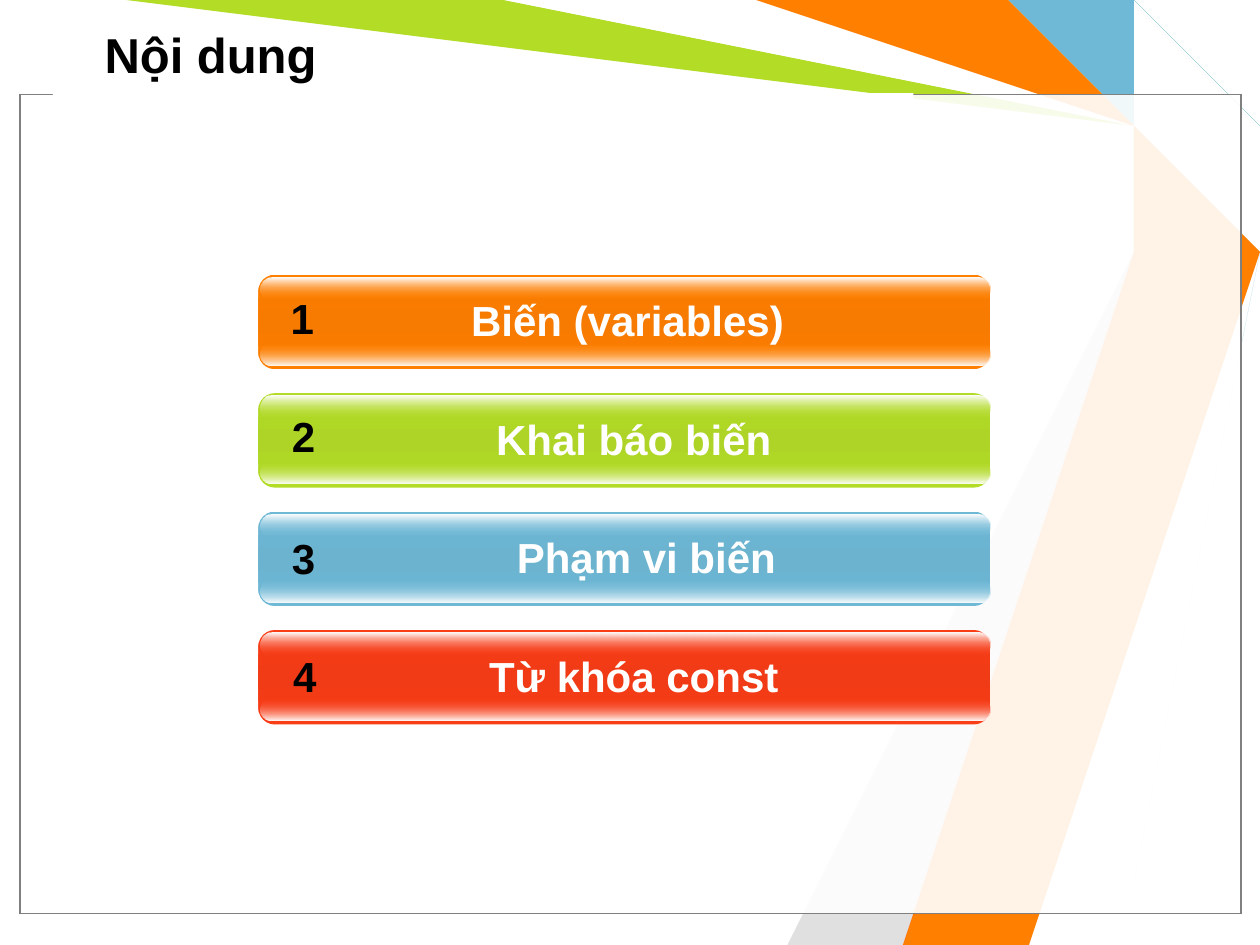
"""Build the contents slide: ribbons, a pale frame, a title and four bars."""
from lxml import etree
from pptx import Presentation
from pptx.dml.color import RGBColor
from pptx.enum import shapes as sh, text as tx
from pptx.oxml.ns import qn
from pptx.util import Inches, Pt

HUES = {
    "blue": "6FB9D7", "lime": "B3DC27", "gray": "E0E0E0", "white": "FFFFFF",
    "pale": "B4E3EE", "teal": "189180", "orange": "FF7F00", "red": "F93D17",
    "black": "000000", "edge": "808080", "dimblue": "6BB3CF",
    "dimlime": "ADD426", "dimorange": "F67B00", "dimred": "F03B16",
}
FONT = "Arial"
RECT = sh.MSO_SHAPE.RECTANGLE
ROUND = sh.MSO_SHAPE.ROUNDED_RECTANGLE

RIBBONS = [
    ("blue", [(8.92, 0), (9.29, 0.77), (9.58, 1.67), (9.11, 7.49),
              (8.56, 7.49), (9.5, 1.67), (9.17, 0.75), (8.38, 0)]),
    ("lime", [(1.17, 0), (3.83, 0), (9.14, 0.78), (9.42, 1.69),
              (7.42, 7.5), (6.92, 7.5), (9.35, 1.73), (9.01, 0.91)]),
    ("gray", [(6.67, 7.5), (9.27, 1.81), (6, 7.5)]),
    ("white", [(3.75, 0), (9.1, 0.82), (9.32, 1.62), (6.75, 7.5), (7, 7.5),
               (9.41, 1.58), (9.17, 0.75), (6, 0)]),
    ("pale", [(9.25, 0), (9.17, 0.17), (9.78, 1.2), (10, 1.25), (10, 1),
              (9.25, 0.17), (9.32, 0)]),
    ("teal", [(10, 0.83), (9.42, 0.25), (10, 0.67)]),
    ("orange", [(6.08, 0), (7.92, 0), (9.3, 0.7), (9.66, 1.69), (8.33, 7.5),
                (7.33, 7.5), (9.42, 1.58), (9.17, 0.75)]),
    ("red", [(7.32, 7.5), (9.32, 1.83), (7.49, 7.5)]),
]
ROWS = [
    ("1", "Biến (variables)", "orange", 2.52, 2.19, 0.09),
    ("2", "Khai báo biến", "lime", 2.57, 2.2, 0.09),
    ("3", "Phạm vi biến", "blue", 2.67, 2.2, 0.12),
    ("4", "Từ khóa const", "red", 2.57, 2.21, 0.11),
]


def rgb(hue):
    """Return the colour with the given name."""
    return RGBColor.from_string(HUES[hue])


def paint(shape, hue):
    """Give a shape a flat fill, with no line or shadow."""
    shape.shadow.inherit = False
    shape.fill.solid()
    shape.fill.fore_color.rgb = rgb(hue)
    shape.line.fill.background()


def add_block(slide, kind, box, hue):
    """Add a flat preset shape in a box."""
    shape = slide.shapes.add_shape(kind, *map(Inches, box))
    paint(shape, hue)
    return shape


def fade(shape, stops):
    """Fill a shape from top to bottom with (place, hue, alpha) stops."""
    flat = shape.element.spPr.find(qn("a:solidFill"))
    grad = etree.Element(qn("a:gradFill"), rotWithShape="1")
    row = etree.SubElement(grad, qn("a:gsLst"))
    for place, hue, alpha in stops:
        stop = etree.SubElement(row, qn("a:gs"), pos=str(place * 1000))
        tint = etree.SubElement(stop, qn("a:srgbClr"), val=HUES[hue])
        if alpha < 100:
            etree.SubElement(tint, qn("a:alpha"), val=str(alpha * 1000))
    etree.SubElement(grad, qn("a:lin"), ang="5400000", scaled="1")
    flat.getparent().replace(flat, grad)


def add_run(para, words, size, hue):
    """Add one bold run to a paragraph."""
    run = para.add_run()
    run.text = words
    font = run.font
    font.name, font.size, font.bold = FONT, Pt(size), True
    font.color.rgb = rgb(hue)


def add_label(slide, box, words, hue):
    """Add a line of centred text in a box."""
    frame = slide.shapes.add_textbox(*map(Inches, box)).text_frame
    frame.word_wrap = True
    para = frame.paragraphs[0]
    para.alignment = tx.PP_ALIGN.CENTER
    add_run(para, words, 24, hue)


def add_ribbons(slide):
    """Draw the coloured ribbons behind the frame."""
    for hue, points in RIBBONS:
        path = slide.shapes.build_freeform(*points[0], scale=Inches(1))
        path.add_line_segments(points[1:], close=True)
        paint(path.convert_to_shape(), hue)


def add_frame(slide, box):
    """Lay two clear white sheets in a box and open the top edge."""
    for hue in ("black", "edge"):
        sheet = add_block(slide, RECT, box, "white")
        tint = sheet.element.spPr.find(qn("a:solidFill"))[0]
        etree.SubElement(tint, qn("a:alpha"), val="69000")
        sheet.line.color.rgb = rgb(hue)
        sheet.line.width = Pt(0.75)
    left, top = box[:2]
    add_block(slide, RECT, (left + 0.26, top - 0.01, 6.83, 0.17), "white")


def add_title(slide, box, words):
    """Place the title placeholder in front of the ribbons."""
    title = slide.shapes.title
    title.left, title.top, title.width, title.height = map(Inches, box)
    frame = title.text_frame
    frame.vertical_anchor = tx.MSO_ANCHOR.MIDDLE
    para = frame.paragraphs[0]
    para.alignment = tx.PP_ALIGN.LEFT
    add_run(para, words, 28, "black")
    title.element.getparent().append(title.element)


def add_bar(slide, box, hue):
    """Add a glossy bar in a box."""
    left, top, width, height = box
    base = add_block(slide, ROUND, box, hue)
    base.adjustments[0] = 0.175
    fade(base, [(0, hue, 100), (50, "dim" + hue, 100), (100, hue, 100)])
    clear, shine = (hue, 0), ("white", 100)
    for drop, ends in ((height - 0.21, (clear, shine)), (0.02, (shine, clear))):
        gloss = add_block(
            slide, ROUND, (left + 0.02, top + drop, width - 0.02, 0.18), hue)
        gloss.adjustments[0] = 0.5
        fade(gloss, [(0, *ends[0]), (100, *ends[1])])


def add_rows(slide, box, step):
    """Stack the numbered bars, the first of them in the box."""
    left, first, width, height = box
    for place, (mark, words, hue, start, side, drop) in enumerate(ROWS):
        top = first + place * step
        add_bar(slide, (left, top, width, height), hue)
        add_label(slide, (start, top + 0.11, 4.92, 0.5), words, "white")
        add_label(slide, (side, top + drop, 0.42, 0.5), mark, "black")


def main():
    """Build and save the slide."""
    deck = Presentation()
    deck.slide_width, deck.slide_height = Inches(10), Inches(7.5)
    slide = deck.slides.add_slide(deck.slide_layouts[5])
    add_ribbons(slide)
    add_frame(slide, (0.16, 0.75, 9.69, 6.5))
    add_title(slide, (0.73, 0.08, 9.11, 0.69), "Nội dung")
    add_rows(slide, (2.05, 2.18, 5.81, 0.75), 0.94)
    deck.save("out.pptx")


if __name__ == "__main__":
    main()
